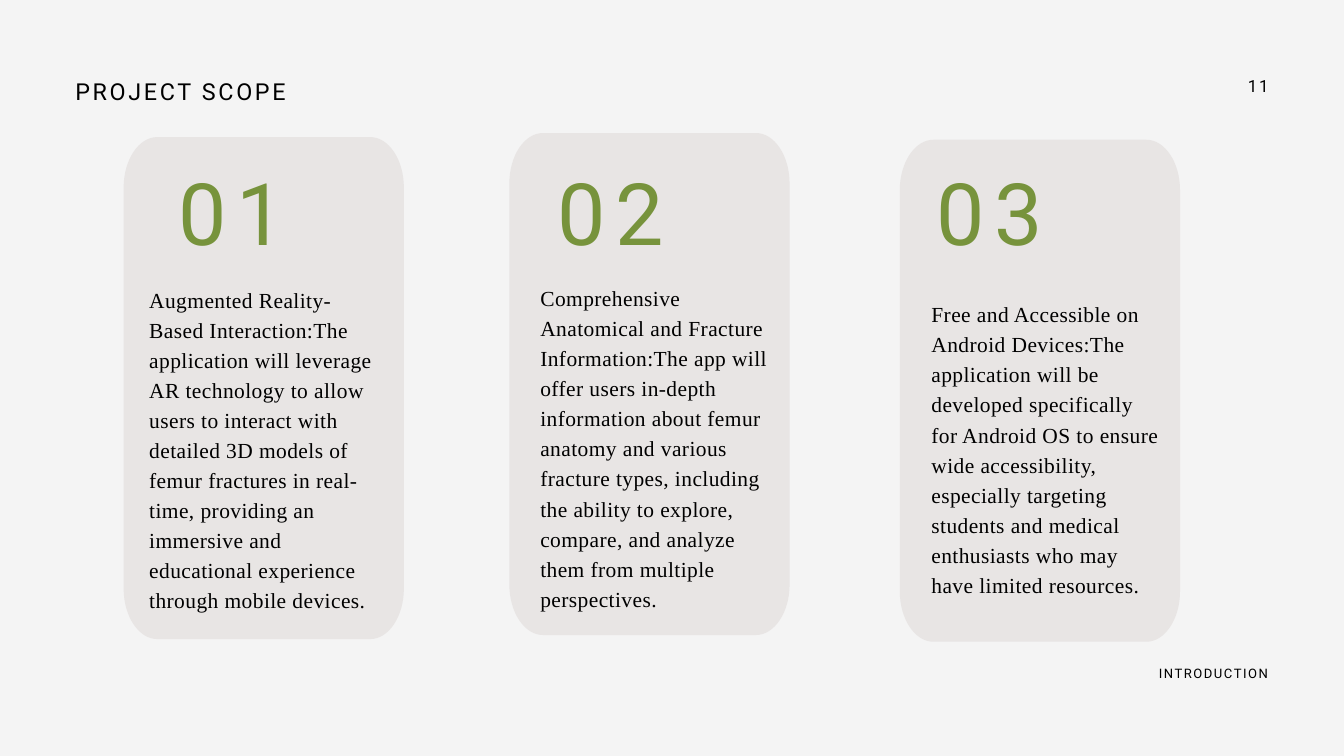
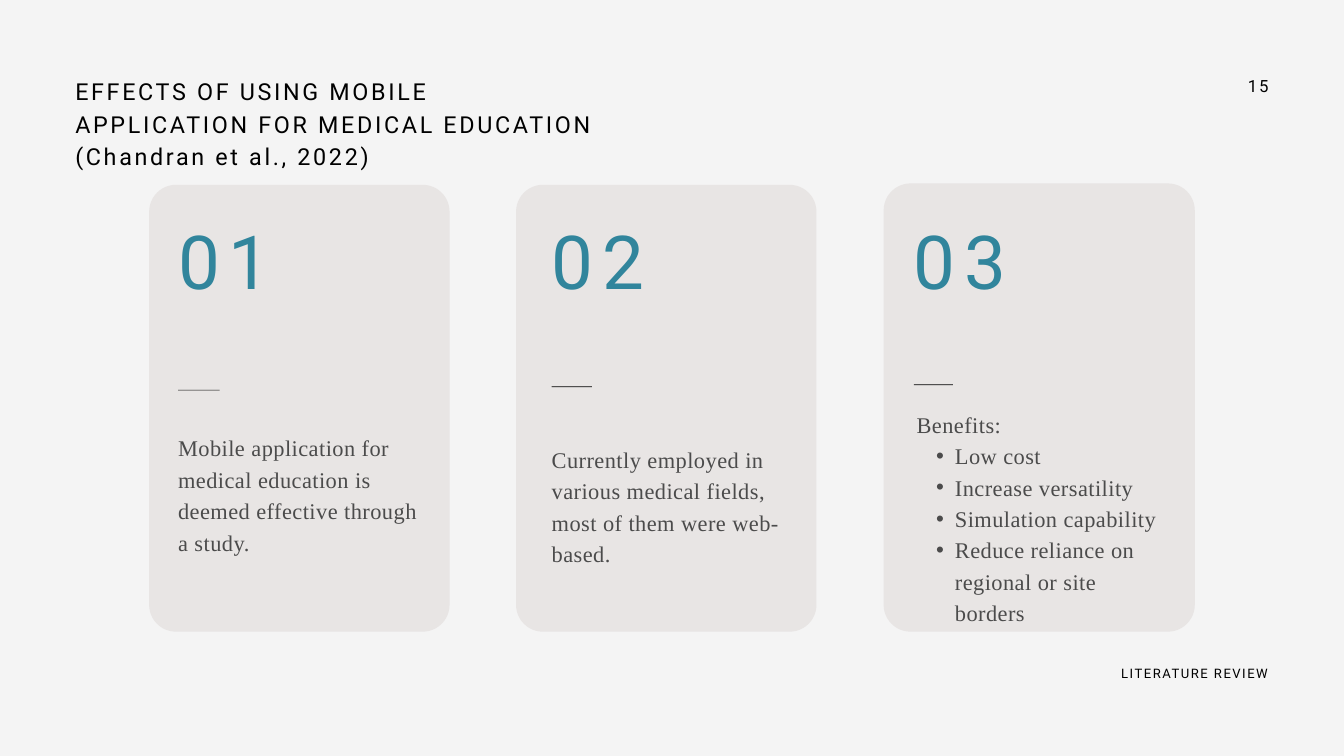
from lxml import etree
from pptx import Presentation
from pptx.dml.color import RGBColor
from pptx.enum.shapes import MSO_SHAPE
from pptx.enum.text import MSO_ANCHOR, MSO_AUTO_SIZE, PP_ALIGN
from pptx.oxml.ns import qn
from pptx.util import Inches, Pt

LEFT, RIGHT = PP_ALIGN.LEFT, PP_ALIGN.RIGHT
TOP, NO_FIT = MSO_ANCHOR.TOP, MSO_AUTO_SIZE.NONE
RECTANGLE, ROUNDED = MSO_SHAPE.RECTANGLE, MSO_SHAPE.ROUNDED_RECTANGLE

BACKGROUND = RGBColor(0xF4, 0xF4, 0xF4)
CARD = RGBColor(0xE0, 0xDB, 0xDA)
BLACK = RGBColor(0, 0, 0)
GREY = RGBColor(0x4B, 0x4B, 0x4B)
GREEN = RGBColor(0x77, 0x93, 0x3C)
TEAL = RGBColor(0x31, 0x85, 0x9C)
SANS, SERIF = "Roboto", "Times New Roman"
CURVE = 0.55  # control point distance that bends a corner into an ellipse

# Text styles: font, size, colour, letter spacing and line spacing in points
TITLE = dict(name=SANS, size=25, color=BLACK, spc=2.9, line=35)
SECTION = dict(name=SANS, size=14, color=BLACK, spc=1.6, line=19.6)
PAGE = dict(name=SANS, size=18, color=BLACK, spc=2.1, line=25.2)
SCOPE_NUMBER = dict(name=SANS, size=92.2, color=GREEN, spc=10.7, line=129)
SCOPE_TEXT = dict(name=SERIF, size=23, color=BLACK, spc=0.46, line=32.2)
EFFECT_NUMBER = dict(name=SANS, size=79.8, color=TEAL, spc=9.2, line=111.7)
EFFECT_TEXT = dict(name=SERIF, size=24, color=GREY, spc=0.48, line=33.6)

# Boxes are left, top, width, height in inches
SCOPE_CARDS = [
    dict(card=(1.84, 2.04), number=(2.65, 2.12), text=(2.22, 4.2),
         body="Augmented Reality-Based Interaction:The application will leverage "
              "AR technology to allow users to interact with detailed 3D models of "
              "femur fractures in real-time, providing an immersive and educational "
              "experience through mobile devices."),
    dict(card=(7.58, 1.98), number=(8.29, 2.12), text=(8.04, 4.18),
         body="Comprehensive Anatomical and Fracture Information:The app will offer "
              "users in-depth information about femur anatomy and various fracture "
              "types, including the ability to explore, compare, and analyze them "
              "from multiple perspectives."),
    dict(card=(13.39, 2.08), number=(13.93, 2.12), text=(13.86, 4.42),
         body="Free and Accessible on Android Devices:The application will be "
              "developed specifically for Android OS to ensure wide accessibility, "
              "especially targeting students and medical enthusiasts who may have "
              "limited resources."),
]
EFFECT_CARDS = [
    dict(card=(2.22, 2.75, 4.47, 6.65), rule=(2.65, 5.8, 0.62),
         text=(2.65, 6.4, 3.59, 1.82),
         body=["Mobile application for medical education is deemed effective "
               "through a study."]),
    dict(card=(7.68, 2.75, 4.47, 6.65), rule=(8.21, 5.75, 0.6),
         text=(8.21, 6.57, 3.41, 1.88),
         body=["Currently employed in various medical fields, most of them were "
               "web-based."]),
    dict(card=(13.15, 2.73, 4.63, 6.67), rule=(13.6, 5.72, 0.58),
         text=(13.64, 6.05, 3.7, 3.19), body=["Benefits:"],
         bullets=["Low cost", "Increase versatility", "Simulation capability",
                  "Reduce reliance on regional or site borders"]),
]


def place(s, box):
    s.left, s.top, s.width, s.height = (Inches(v) for v in box)


def write(s, lines, style, align=LEFT, bullets=()):
    """Fill a text shape with plain lines, then bulleted ones."""
    tf = s.text_frame
    frame = dict(word_wrap=True, auto_size=NO_FIT, vertical_anchor=TOP,
                 margin_left=0, margin_top=0, margin_right=0, margin_bottom=0)
    for name, value in frame.items():
        setattr(tf, name, value)
    for i, line in enumerate([*lines, *bullets]):
        p = tf.paragraphs[0] if i == 0 else tf.add_paragraph()
        pPr = p._p.get_or_add_pPr()
        if i < len(lines):
            pPr.set("marL", "0")
            pPr.set("indent", "0")
            etree.SubElement(pPr, qn("a:buNone"))
        else:
            p.level = 1
            pPr.set("marL", str(Inches(0.57)))
            pPr.set("indent", str(Inches(-0.28)))
            etree.SubElement(pPr, qn("a:buFont"), typeface="Arial")
            etree.SubElement(pPr, qn("a:buChar"), char="•")
        p.alignment = align
        p.line_spacing = Pt(style["line"])
        p.space_before = p.space_after = Pt(0)
        r = p.add_run()
        r.text = line
        r.font.name, r.font.size = style["name"], Pt(style["size"])
        r.font.color.rgb = style["color"]
        r.font._element.set("spc", str(round(style["spc"] * 100)))


def add_text(slide, box, text, style, align=LEFT):
    s = slide.shapes.add_textbox(*(Inches(v) for v in box))
    write(s, [text], style, align)


def paint(s, color):
    s.shadow.inherit = False
    s.fill.solid()
    s.fill.fore_color.rgb = color
    s.line.fill.background()


def paint_card(s):
    paint(s, CARD)
    color = s._element.spPr.find(qn("a:solidFill"))[0]
    etree.SubElement(color, qn("a:alpha"), val="60000")


def add_tall_corner_card(slide, x, y, w, h, rx=0.5, ry=0.75):
    """Draw a card whose corners are quarter ellipses."""
    right, bottom = x + w, y + h
    points = [(x + rx, y), (right - rx, y), (right, y + ry), (right, bottom - ry),
              (right - rx, bottom), (x + rx, bottom), (x, bottom - ry), (x, y + ry),
              (x + rx, y)]
    points = [(Inches(px), Inches(py)) for px, py in points]
    builder = slide.shapes.build_freeform(*points[0])
    builder.add_line_segments(points[1:], close=True)
    s = builder.convert_to_shape()
    sides = s._element.spPr.findall(".//" + qn("a:lnTo"))
    for i in range(1, len(sides), 2):  # every second side cuts a corner
        (ax, ay), (bx, by) = points[i:i + 2]
        cx, cy = (bx, ay) if i % 4 == 1 else (ax, by)
        sides[i].tag = qn("a:cubicBezTo")
        for n, (px, py) in enumerate([(ax, ay), (bx, by)]):
            pt = etree.Element(qn("a:pt"),
                               x=str(round(px + CURVE * (cx - px) - s.left)),
                               y=str(round(py + CURVE * (cy - py) - s.top)))
            sides[i].insert(n, pt)
    paint_card(s)


def add_round_card(slide, box, radius=0.4):
    s = slide.shapes.add_shape(ROUNDED, *(Inches(v) for v in box))
    s.adjustments[0] = radius / min(box[2:])
    paint_card(s)


def add_rule(slide, x, y, w):
    s = slide.shapes.add_shape(RECTANGLE, Inches(x), Inches(y), Inches(w), Inches(0.01))
    paint(s, BLACK)


def add_slide(prs, layout, title, title_size, page, section):
    slide = prs.slides.add_slide(prs.slide_layouts[layout])
    place(slide.shapes.title, (1.12, 1.08, *title_size))
    write(slide.shapes.title, title, TITLE)
    add_text(slide, (17.68, 1.08, 1.2, 0.33), page, PAGE, RIGHT)
    add_text(slide, (14.16, 9.86, 4.71, 0.26), section, SECTION, RIGHT)
    return slide


def build_scope(prs):
    slide = add_slide(prs, 5, ["PROJECT SCOPE"], (4.71, 0.46), "11", "INTRODUCTION")
    for n, item in enumerate(SCOPE_CARDS, 1):
        add_tall_corner_card(slide, *item["card"], 4.17, 7.47)
        add_text(slide, (*item["number"], 2.11, 1.68), f"{n:02}", SCOPE_NUMBER)
        add_text(slide, (*item["text"], 3.41, 4.92), item["body"], SCOPE_TEXT)


def build_effects(prs):
    title = ["EFFECTS OF USING MOBILE APPLICATION FOR MEDICAL EDUCATION",
             "(Chandran et al., 2022)"]
    slide = add_slide(prs, 1, title, (7.88, 1.44), "15", "LITERATURE REVIEW")
    body = slide.placeholders[1]
    for n, item in enumerate(EFFECT_CARDS, 1):
        add_round_card(slide, item["card"])
        add_rule(slide, *item["rule"])
        add_text(slide, (item["rule"][0], 2.98, 1.82, 1.5), f"{n:02}", EFFECT_NUMBER)
        if "bullets" in item:
            place(body, item["text"])
            write(body, item["body"], EFFECT_TEXT, bullets=item["bullets"])
            slide.shapes._spTree.append(body._element)  # in front of its card
        else:
            add_text(slide, item["text"], item["body"][0], EFFECT_TEXT)


def main():
    prs = Presentation()
    prs.slide_width, prs.slide_height = Inches(20), Inches(11.25)
    fill = prs.slide_master.background.fill
    fill.solid()
    fill.fore_color.rgb = BACKGROUND
    build_scope(prs)
    build_effects(prs)
    prs.save("out.pptx")


if __name__ == "__main__":
    main()
